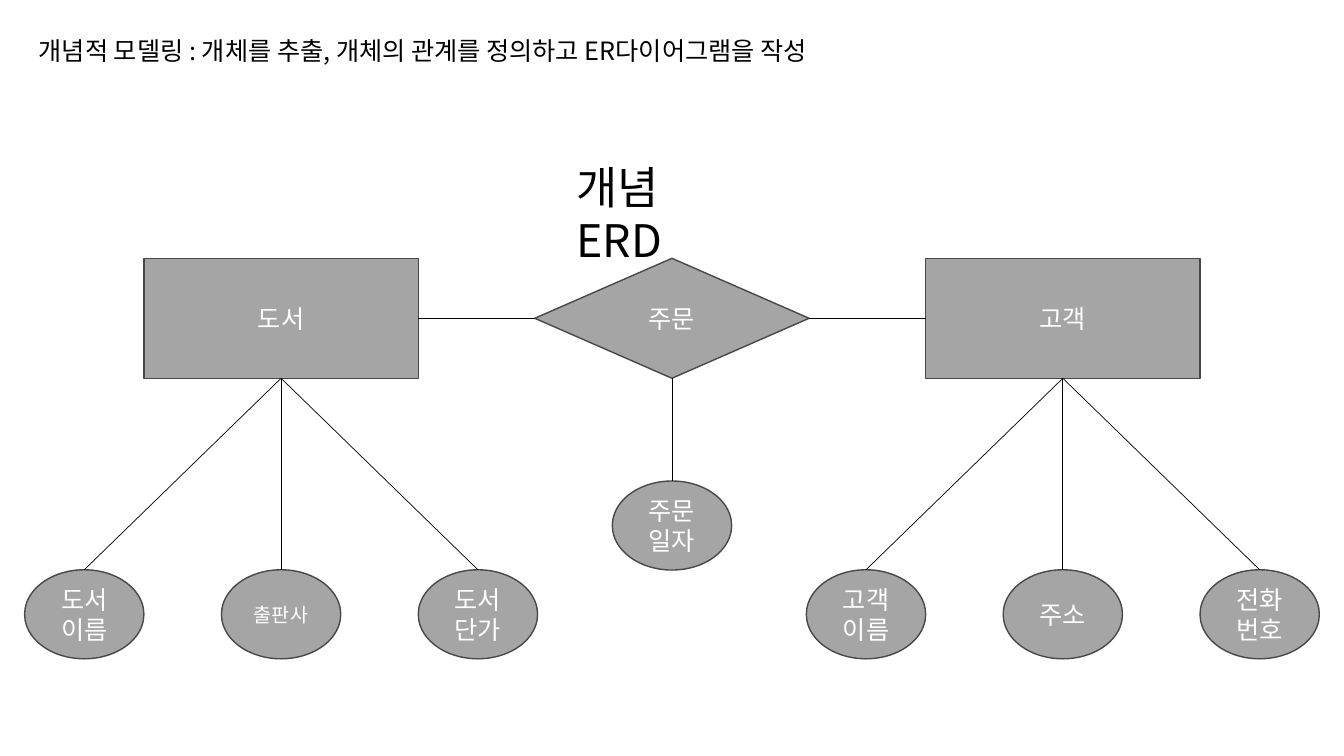
from lxml import etree
from pptx import Presentation
from pptx.dml.color import RGBColor
from pptx.enum.shapes import MSO_CONNECTOR, MSO_SHAPE
from pptx.enum.text import MSO_ANCHOR, PP_ALIGN
from pptx.oxml.ns import qn
from pptx.util import Pt

RECT, DIAMOND, OVAL = MSO_SHAPE.RECTANGLE, MSO_SHAPE.DIAMOND, MSO_SHAPE.OVAL
STRAIGHT = MSO_CONNECTOR.STRAIGHT
LEFT, CENTER = PP_ALIGN.LEFT, PP_ALIGN.CENTER
TOP, MIDDLE = MSO_ANCHOR.TOP, MSO_ANCHOR.MIDDLE
SIDE_TOP, SIDE_LEFT, SIDE_BOTTOM, SIDE_RIGHT = range(4)

FONT = "Noto Sans CJK KR"
COLORS = {"fill": "A5A5A5", "outline": "484848", "line": "000000",
          "text": "000000", "label": "FFFFFF"}

NODE_W, NODE_H = 196, 85.7
ATTR_W, ATTR_H = 85.2, 63.6
ATTR_PITCH = 140.6


def color(name):
    return RGBColor.from_string(COLORS[name])


def write(sp, text, size=18, fill="text", align=LEFT, anchor=TOP):
    tf = sp.text_frame
    tf.word_wrap = True
    tf.vertical_anchor = anchor
    p = tf.paragraphs[0]
    p.text = text
    p.alignment = align
    for r in p.runs:
        r.font.size = Pt(size)
        r.font.color.rgb = color(fill)
        r.font.name = FONT
        etree.SubElement(r.font._element, qn("a:ea"), typeface=FONT)


def add_text(slide, x, y, w, h, text, **fmt):
    write(slide.shapes.add_textbox(Pt(x), Pt(y), Pt(w), Pt(h)), text, **fmt)


def add_node(slide, kind, x, y, w, h, text, size=18):
    sp = slide.shapes.add_shape(kind, Pt(x), Pt(y), Pt(w), Pt(h))
    sp.shadow.inherit = False
    sp.fill.solid()
    sp.fill.fore_color.rgb = color("fill")
    sp.line.color.rgb = color("outline")
    sp.line.width = Pt(1)
    write(sp, text, size=size, fill="label", align=CENTER, anchor=MIDDLE)
    return sp


def join(slide, start, start_side, end, end_side):
    line = slide.shapes.add_connector(STRAIGHT, 0, 0, 0, 0)
    line.begin_connect(start, start_side)
    line.end_connect(end, end_side)
    line.line.color.rgb = color("line")
    line.line.width = Pt(0.5)
    etree.SubElement(line._element.spPr, qn("a:effectLst"))


def add_group(slide, kind, x, y, name, attributes, drop):
    """Place a node at x, y with its attributes centred in a row below it."""
    node = add_node(slide, kind, x, y, NODE_W, NODE_H, name)
    first_x = x + (NODE_W - ATTR_W - ATTR_PITCH * (len(attributes) - 1)) / 2
    for i, (text, size) in enumerate(attributes):
        attr = add_node(slide, OVAL, first_x + i * ATTR_PITCH, y + NODE_H + drop,
                        ATTR_W, ATTR_H, text, size)
        join(slide, node, SIDE_BOTTOM, attr, SIDE_TOP)
    return node


def add_diagram(slide, x, y, pitch):
    groups = [
        (RECT, "도서", [("도서이름", 18), ("출판사", 14), ("도서단가", 18)], 136.8),
        (DIAMOND, "주문", [("주문일자", 18)], 73.4),
        (RECT, "고객", [("고객이름", 18), ("주소", 18), ("전화번호", 18)], 136.8),
    ]
    nodes = [add_group(slide, kind, x + i * pitch, y, name, attributes, drop)
             for i, (kind, name, attributes, drop) in enumerate(groups)]
    # Relationship lines
    for a, b in zip(nodes, nodes[1:]):
        # A diamond numbers its sides like a rectangle
        join(slide, a, SIDE_RIGHT, b, SIDE_LEFT)


def main():
    prs = Presentation()
    prs.slide_width, prs.slide_height = Pt(960), Pt(540)
    slide = prs.slides.add_slide(prs.slide_layouts[6])

    # Entities, relationship and attributes
    add_diagram(slide, 102.8, 184.5, 279.2)

    # Headings
    add_text(slide, 404.8, 110.3, 150, 46, "개념\vERD", size=32)
    add_text(slide, 20.6, 21.6, 624, 29,
             "개념적 모델링 : 개체를 추출, 개체의 관계를 정의하고 ER다이어그램을 작성")

    prs.save("out.pptx")


if __name__ == "__main__":
    main()
